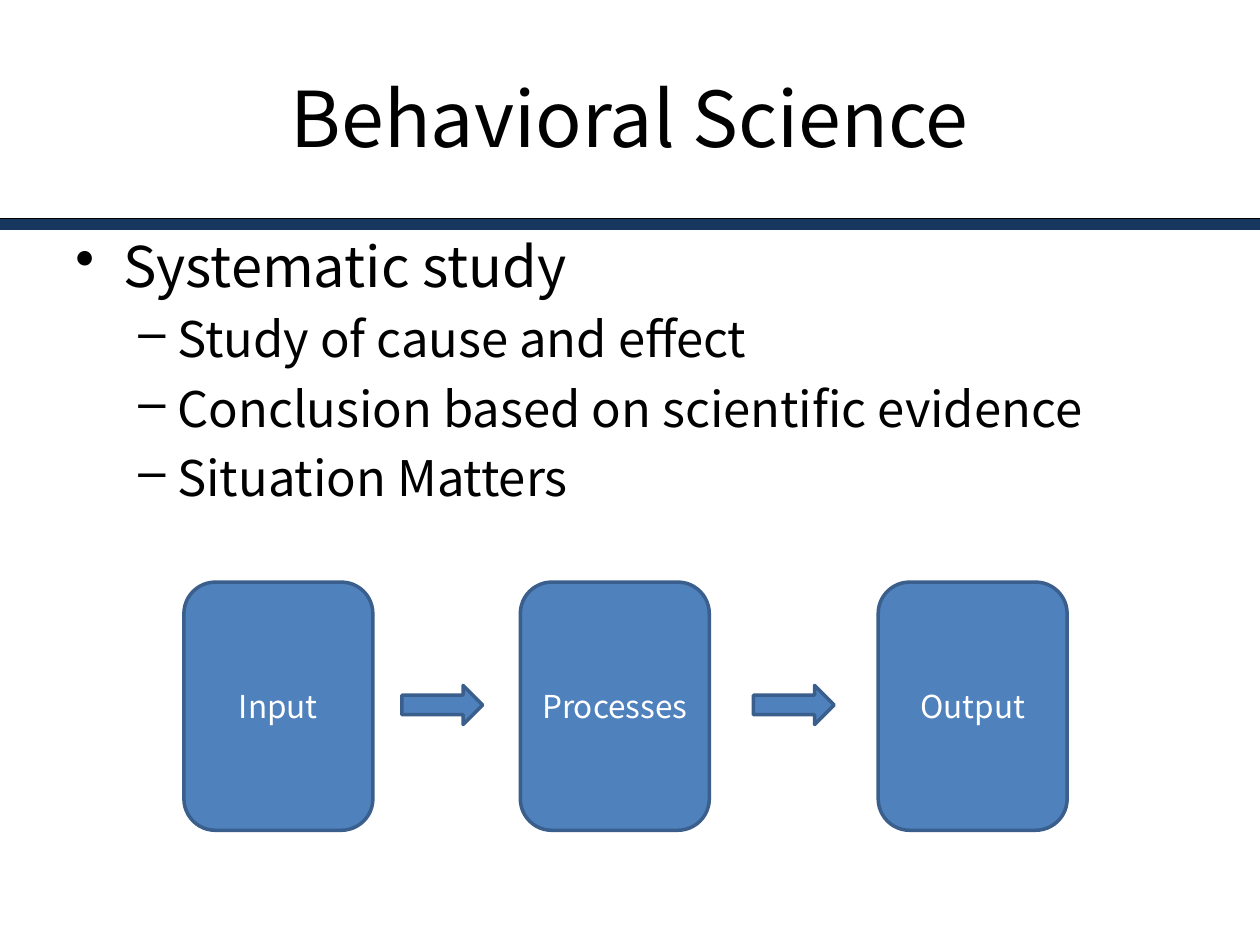
import lxml.etree
import pptx
import pptx.dml.color
import pptx.enum.shapes
import pptx.enum.text
import pptx.oxml.ns
import pptx.util

COLORS = {"text": "000000", "light": "FFFFFF", "rule": "17375E",
          "fill": "4F81BD", "outline": "3A5F8C"}
FONT = "Noto Sans CJK KR"
COLUMNS, ROWS = 20, 15  # half-inch grid cells
Align = pptx.enum.text.PP_ALIGN
Anchor = pptx.enum.text.MSO_ANCHOR
Shape = pptx.enum.shapes.MSO_SHAPE


def color(name):
    return pptx.dml.color.RGBColor.from_string(COLORS[name])


def write(paragraph, text, size=18, fill="text", align=Align.CENTER,
          bullet=None, indent=0, hanging=0, before=0, line_height=None):
    """Put formatted text in a paragraph; indents in inches, spacing in points."""
    paragraph.alignment = align
    paragraph.space_before = pptx.util.Pt(before)
    if line_height:
        paragraph.line_spacing = pptx.util.Pt(line_height)
    run = paragraph.add_run()
    run.text = text
    run.font.size = pptx.util.Pt(size)
    run.font.name = FONT
    run.font.color.rgb = color(fill)
    if bullet:
        properties = paragraph._p.get_or_add_pPr()
        properties.set("marL", str(pptx.util.Inches(indent)))
        properties.set("indent", str(-pptx.util.Inches(hanging)))
        mark = lxml.etree.SubElement(properties, pptx.oxml.ns.qn("a:buChar"))
        mark.set("char", bullet)


class Deck:
    """Holds the grid, the style and the current slide."""

    def __init__(self, width=10, height=7.5):
        self.presentation = pptx.Presentation()
        self.presentation.slide_width = pptx.util.Inches(width)
        self.presentation.slide_height = pptx.util.Inches(height)
        self.slide = self.presentation.slides.add_slide(
            self.presentation.slide_layouts[6])

    def x(self, columns):
        return round(self.presentation.slide_width * columns / COLUMNS)

    def y(self, rows):
        return round(self.presentation.slide_height * rows / ROWS)

    def place(self, left, top, width, height):
        return self.x(left), self.y(top), self.x(width), self.y(height)

    def rule(self, row, name, weight):
        line = self.slide.shapes.add_connector(
            pptx.enum.shapes.MSO_CONNECTOR.STRAIGHT,
            0, self.y(row), self.x(COLUMNS), self.y(row))
        line.line.color.rgb = color(name)
        line.line.width = pptx.util.Pt(weight)
        lxml.etree.SubElement(line._element.spPr, pptx.oxml.ns.qn("a:effectLst"))

    def text(self, area, lines, anchor=Anchor.TOP):
        frame = self.slide.shapes.add_textbox(*self.place(*area)).text_frame
        frame.word_wrap = True
        frame.vertical_anchor = anchor
        for number, (text, style) in enumerate(lines):
            paragraph = frame.add_paragraph() if number else frame.paragraphs[0]
            write(paragraph, text, **style)

    def block(self, kind, area, label=None):
        shape = self.slide.shapes.add_shape(kind, *self.place(*area))
        shape.shadow.inherit = False
        shape.fill.solid()
        shape.fill.fore_color.rgb = color("fill")
        shape.line.color.rgb = color("outline")
        shape.line.width = pptx.util.Pt(2)
        if label:
            shape.text_frame.word_wrap = True
            shape.text_frame.vertical_anchor = Anchor.MIDDLE
            write(shape.text_frame.paragraphs[0], label, fill="light")


def main():
    deck = Deck()

    # Double rule under the title
    deck.rule(3.56, "rule", 7)
    deck.rule(3.46, "text", 0.5)

    # Title
    deck.text((1, 0.6, 18, 2.5), [("Behavioral Science", {"size": 44})],
              Anchor.MIDDLE)

    # Bullets
    main_point = dict(size=32, align=Align.LEFT, bullet="•", indent=0.38,
                      hanging=0.38, line_height=41)
    sub_point = dict(size=28, align=Align.LEFT, bullet="–", indent=0.81,
                     hanging=0.31, before=6, line_height=33.6)
    deck.text((1, 3.5, 18, 9.9), [
        ("Systematic study", main_point),
        ("Study of cause and effect", sub_point),
        ("Conclusion based on scientific evidence", sub_point),
        ("Situation Matters", sub_point),
    ])

    # Process stages, joined by arrows
    for left, label in ((2.92, "Input"), (8.26, "Processes"), (13.94, "Output")):
        deck.block(Shape.ROUNDED_RECTANGLE, (left, 9.24, 3, 3.94), label)
    for left in (6.38, 11.96):
        deck.block(Shape.RIGHT_ARROW, (left, 10.88, 1.28, 0.62))

    deck.presentation.save("out.pptx")


if __name__ == "__main__":
    main()
